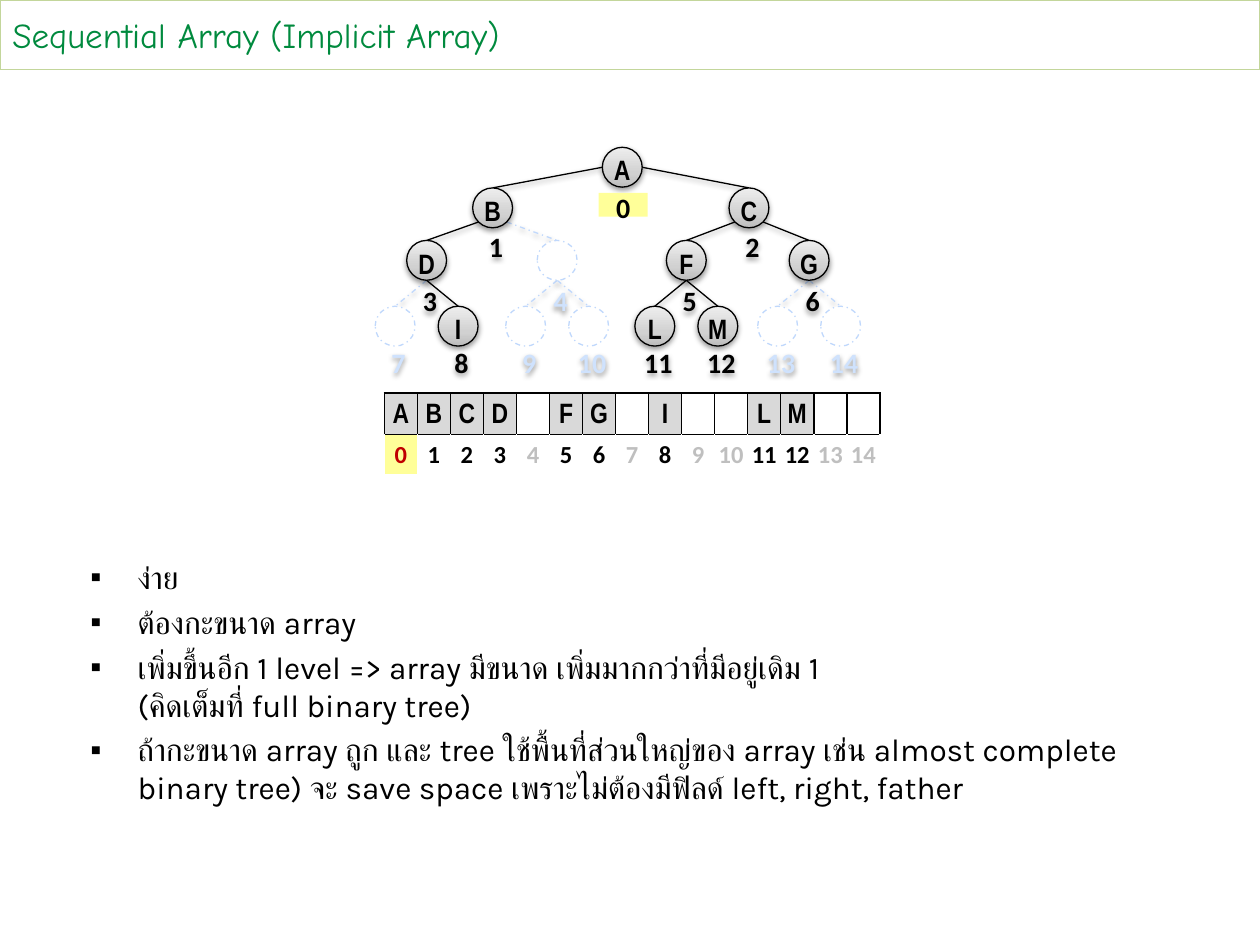
import math
import pptx
import pptx.util
import pptx.oxml
import pptx.oxml.ns
import pptx.dml.color
import pptx.enum.dml
import pptx.enum.shapes
import pptx.enum.text

Pt = pptx.util.Pt
Shape = pptx.enum.shapes.MSO_SHAPE
Align = pptx.enum.text.PP_ALIGN
Anchor = pptx.enum.text.MSO_ANCHOR

HUES = {
    "title": "008A3E", "frame": "C3D69B", "ink": "000000", "white": "FFFFFF",
    "ghost": "C0D8FC", "pale": "CFE2FD", "mark": "FFFF99", "cell": "D9D9D9",
    "red": "C00000", "grey": "BFBFBF",
    "dark": "BDBDBD", "mid": "D1D1D1", "light": "EEEEEE",
}
KEYS = ["A", "B", "C", "D", "", "F", "G", "", "I", "", "", "L", "M", "", ""]
ROOT = 355.6
PAIR = [281.5, 428]
QUAD = [243.8, 318.4, 392.2, 462.4]
LEAF = [x + dx for x in QUAD for dx in (-18, 18)]
SPOTS = [ROOT] + PAIR + QUAD + LEAF
ROWS = [95.6, 118.8, 148.8, 186.4]
TAGS = [117, 139.3, 170.3, 205.5]
TURNS = [0, 45, 90]
RAD = 11.4
NOTES = [
    "ง่าย",
    "ต้องกะขนาด array",
    "เพิ่มขึ้นอีก 1 level => array มีขนาด เพิ่มมากกว่าที่มีอยู่เดิม 1\v(คิดเต็มที่ full binary tree)",
    "ถ้ากะขนาด array ถูก และ tree ใช้พื้นที่ส่วนใหญ่ของ array เช่น almost complete "
    "binary tree) จะ save space เพราะไม่ต้องมีฟิลด์ left, right, father",
]


def rgb(name):
    return pptx.dml.color.RGBColor.from_string(HUES[name])


def node(tag, body="", attrs=""):
    spaces = pptx.oxml.ns.nsdecls("a")
    return pptx.oxml.parse_xml(f"<a:{tag} {spaces} {attrs}>{body}</a:{tag}>")


def tint(name):
    return f'<a:srgbClr val="{HUES[name]}"/>'


def apply(item, vals):
    for key, val in vals.items():
        setattr(item, key, val)


def shade(shape, on):
    body = (
        f'<a:outerShdw blurRad="{Pt(3.1)}" dist="{Pt(1.6)}" dir="5400000" rotWithShape="0">'
        f'<a:srgbClr val="{HUES["ink"]}"><a:alpha val="38000"/></a:srgbClr></a:outerShdw>'
    )
    shape._element.spPr.append(node("effectLst", body if on else ""))


def blend(shape):
    stops = "".join(
        f'<a:gs pos="{pos}">{tint(name)}</a:gs>'
        for pos, name in [(0, "dark"), (35000, "mid"), (100000, "light")]
    )
    body = f'<a:gsLst>{stops}</a:gsLst><a:lin ang="16200000" scaled="0"/>'
    shape._element.spPr.append(node("gradFill", body))


def stroke(line, full):
    apply(line, {"width": Pt(0.75)})
    line.color.rgb = rgb("ink" if full else "ghost")
    if not full:
        line.dash_style = pptx.enum.dml.MSO_LINE.DASH_DOT


def write(para, text, font, size, hue, bold=False):
    para.text = text
    for run in para.runs or [para.add_run()]:
        apply(run.font, {"name": font, "size": Pt(size), "bold": bold})
        run.font.color.rgb = rgb(hue)


def center(shape, text, font, hue):
    frame = shape.text_frame
    apply(frame, {
        "margin_left": 0, "margin_right": 0, "margin_bottom": 0,
        "margin_top": Pt(2.9), "word_wrap": False,
        "vertical_anchor": Anchor.MIDDLE,
    })
    para = frame.paragraphs[0]
    para.alignment = Align.CENTER
    write(para, text, font, 16, hue, True)


def block(slide, kind, x, y, wide, high):
    return slide.shapes.add_shape(
        kind, Pt(x - wide / 2), Pt(y - high / 2), Pt(wide), Pt(high))


def disc(slide, x, y, key):
    shape = block(slide, Shape.OVAL, x, y, 2 * RAD, 2 * RAD)
    if key:
        blend(shape)
        center(shape, key, "Arial Narrow", "ink")
    else:
        shape.fill.solid()
        shape.fill.fore_color.rgb = rgb("white")
    stroke(shape.line, key)
    shade(shape, key)


def label(slide, num, x, level, key):
    first = num == 0
    kind = Shape.RECTANGLE if first else Shape.OVAL
    shape = block(slide, kind, x + (0.5 if first else 2), TAGS[level],
                  28, 13.7 if first else 19.4)
    if first:
        shape.fill.solid()
        shape.fill.fore_color.rgb = rgb("mark")
    else:
        shape.fill.background()
    shape.line.fill.background()
    shade(shape, not first)
    center(shape, str(num), "Calibri", "ink" if key else "pale")


def edge(slide, num, level):
    up = (num - 1) // 2
    side = -1 if num % 2 else 1
    turn = math.radians(TURNS[level - 1])
    line = slide.shapes.add_connector(
        pptx.enum.shapes.MSO_CONNECTOR.STRAIGHT,
        Pt(SPOTS[up] + side * RAD * math.cos(turn)),
        Pt(ROWS[level - 1] + RAD * math.sin(turn)),
        Pt(SPOTS[num]), Pt(ROWS[level] - RAD))
    stroke(line.line, KEYS[num])
    shade(line, True)


def tree(slide):
    levels = [int(math.log2(num + 1)) for num in range(len(KEYS))]
    for num in range(1, len(KEYS)):
        edge(slide, num, levels[num])
    for num, key in enumerate(KEYS):
        disc(slide, SPOTS[num], ROWS[levels[num]], key)
    for num, key in enumerate(KEYS):
        label(slide, num, SPOTS[num], levels[num], key)


def border(cell, low):
    props = cell._tc.get_or_add_tcPr()
    for side in "LRTB":
        name = "white" if low and side != "T" else "ink"
        props.append(node(f"ln{side}", f"<a:solidFill>{tint(name)}</a:solidFill>",
                          f'w="{Pt(1)}"'))


def fill(cell, text, low, hue, back):
    border(cell, low)
    apply(cell, {
        "margin_left": 0, "margin_right": 0, "margin_bottom": 0,
        "margin_top": 0 if low else Pt(2.9),
        "vertical_anchor": Anchor.MIDDLE,
    })
    if back:
        cell.fill.solid()
        cell.fill.fore_color.rgb = rgb(back)
    else:
        cell.fill.background()
    para = cell.text_frame.paragraphs[0]
    para.alignment = Align.CENTER
    write(para, text, "Calibri" if low else "Arial Narrow", 14 if low else 16, hue, True)


def array(slide):
    table = slide.shapes.add_table(
        2, len(KEYS), Pt(219.6), Pt(224.6), Pt(283.5), Pt(46.8)).table
    apply(table, {"first_row": False, "horz_banding": False})
    for row, high in zip(table.rows, (23.8, 23)):
        row.height = Pt(high)
    for num, key in enumerate(KEYS):
        table.columns[num].width = Pt(18.9)
        fill(table.cell(0, num), key, False, "ink", "cell" if key else None)
        hue = "red" if num == 0 else "ink" if key else "grey"
        fill(table.cell(1, num), str(num), True, hue, None if num else "mark")


def title(slide):
    shape = block(slide, Shape.RECTANGLE, 360, 19.8, 720, 39.6)
    shape.fill.background()
    shape.line.color.rgb = rgb("frame")
    shape.line.width = Pt(0.75)
    shade(shape, False)
    apply(shape.text_frame, {"word_wrap": True, "vertical_anchor": Anchor.MIDDLE})
    para = shape.text_frame.paragraphs[0]
    para.alignment = Align.LEFT
    write(para, "Sequential Array (Implicit Array)", "Comic Neue", 20, "title")


def notes(slide):
    frame = slide.shapes.add_textbox(Pt(44.6), Pt(315.4), Pt(635.8), Pt(157.7)).text_frame
    frame.word_wrap = True
    for num, text in enumerate(NOTES):
        para = frame.add_paragraph() if num else frame.paragraphs[0]
        props = para._p.get_or_add_pPr()
        apply(para, {"space_before": Pt(4 if num else 0)})
        props.set("marL", str(Pt(27)))
        props.set("indent", str(Pt(-27)))
        props.append(node("buFont", attrs='typeface="Arial"'))
        props.append(node("buChar", attrs='char="▪"'))
        write(para, text, "Karla", 18, "ink")


def main():
    deck = pptx.Presentation()
    apply(deck, {"slide_width": Pt(720), "slide_height": Pt(540)})
    slide = deck.slides.add_slide(deck.slide_layouts[6])
    title(slide)
    tree(slide)
    array(slide)
    notes(slide)
    deck.save("out.pptx")


if __name__ == "__main__":
    main()
